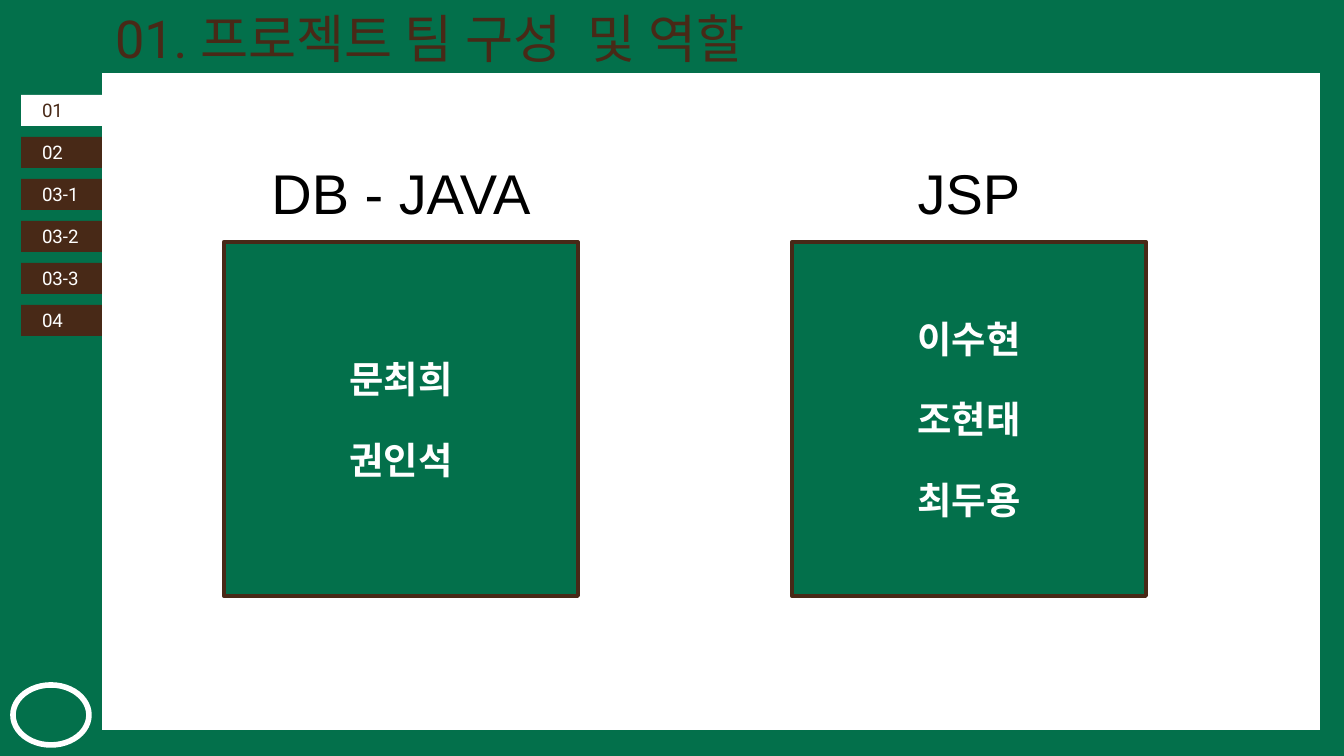
from pptx import Presentation
from pptx.dml.color import RGBColor
from pptx.enum.shapes import MSO_SHAPE as Shape
from pptx.enum.text import MSO_ANCHOR as Anchor, MSO_AUTO_SIZE as AutoSize, PP_ALIGN as Align
from pptx.oxml.ns import qn
from pptx.util import Pt

TITLE = "01. 프로젝트 팀 구성  및 역할"
TABS = ["01", "02", "03-1", "03-2", "03-3", "04"]
ACTIVE_TAB = "01"
TEAMS = [
    ("DB - JAVA", ["문최희", "권인석"]),
    ("JSP", ["이수현", "조현태", "최두용"]),
]

GREEN = RGBColor(0x03, 0x70, 0x4B)
BROWN = RGBColor(0x48, 0x29, 0x17)
WHITE = RGBColor(0xFF, 0xFF, 0xFF)
BLACK = RGBColor(0x00, 0x00, 0x00)

SCALE = 914400 / 134.4
TAB_X, TAB_Y, TAB_W, TAB_H, TAB_PITCH = 21, 95, 81, 31, 42
TEAM_X, TEAM_Y, TEAM_SIZE, TEAM_PITCH = 224, 242, 354, 568
LABEL_Y, LABEL_W, LABEL_H = 146, 370, 95


def px(*values):
    return [round(v * SCALE) for v in values]


def add_shape(slide, kind, box, fill=None, line=None, width=2.25):
    s = slide.shapes.add_shape(kind, *px(*box))
    s.shadow.inherit = False
    if fill is None:
        s.fill.background()
    else:
        s.fill.solid()
        s.fill.fore_color.rgb = fill
    if line is None:
        s.line.fill.background()
    else:
        s.line.color.rgb = line
        s.line.width = Pt(width)
    return s


def write(s, lines, font, size, color, align=Align.CENTER, anchor=Anchor.MIDDLE,
          insets=(13, 13), bold=False, gap=0):
    tf = s.text_frame
    tf.text = "\n".join(lines)
    tf.word_wrap = True
    tf.auto_size = AutoSize.NONE
    tf.vertical_anchor = anchor
    tf.margin_left, tf.margin_top = px(*insets)
    tf.margin_right, tf.margin_bottom = px(*insets)
    for i, p in enumerate(tf.paragraphs):
        p.alignment = align
        if i:
            p.space_before = Pt(gap)
        for r in p.runs:
            r.font.name = font
            r.font.size = Pt(size)
            r.font.bold = bold
            r.font.color.rgb = color
            latin = r.font._element.find(qn("a:latin"))
            ea = latin.makeelement(qn("a:ea"), {"typeface": font})
            latin.addnext(ea)


prs = Presentation()
prs.slide_width, prs.slide_height = px(1344, 756)
slide = prs.slides.add_slide(prs.slide_layouts[5])
slide.background.fill.solid()
slide.background.fill.fore_color.rgb = GREEN

add_shape(slide, Shape.RECTANGLE, (102, 73, 1218, 657), WHITE)
add_shape(slide, Shape.OVAL, (13, 685, 76, 60), line=WHITE, width=3)

title = slide.shapes.title
title.left, title.top, title.width, title.height = px(102, 0, 900, 76)
write(title, [TITLE], "Roboto", 28, BROWN, Align.LEFT, insets=(13, 0))

for i, name in enumerate(TABS):
    active = name == ACTIVE_TAB
    box = (TAB_X, TAB_Y + i * TAB_PITCH, TAB_W, TAB_H)
    s = add_shape(slide, Shape.RECTANGLE, box, WHITE if active else BROWN)
    write(s, [name], "Roboto", 10, BROWN if active else WHITE, Align.LEFT, insets=(21, 0))

for i, (team, members) in enumerate(TEAMS):
    x = TEAM_X + i * TEAM_PITCH
    s = add_shape(slide, Shape.RECTANGLE, (x, TEAM_Y, TEAM_SIZE, TEAM_SIZE), GREEN, BROWN)
    write(s, members, "Noto Sans CJK KR", 20, WHITE, bold=True, gap=19)
    label_x = x + (TEAM_SIZE - LABEL_W) / 2
    label = slide.shapes.add_textbox(*px(label_x, LABEL_Y, LABEL_W, LABEL_H))
    write(label, [team], "Arial", 30, BLACK, anchor=Anchor.TOP)

prs.save("out.pptx")
